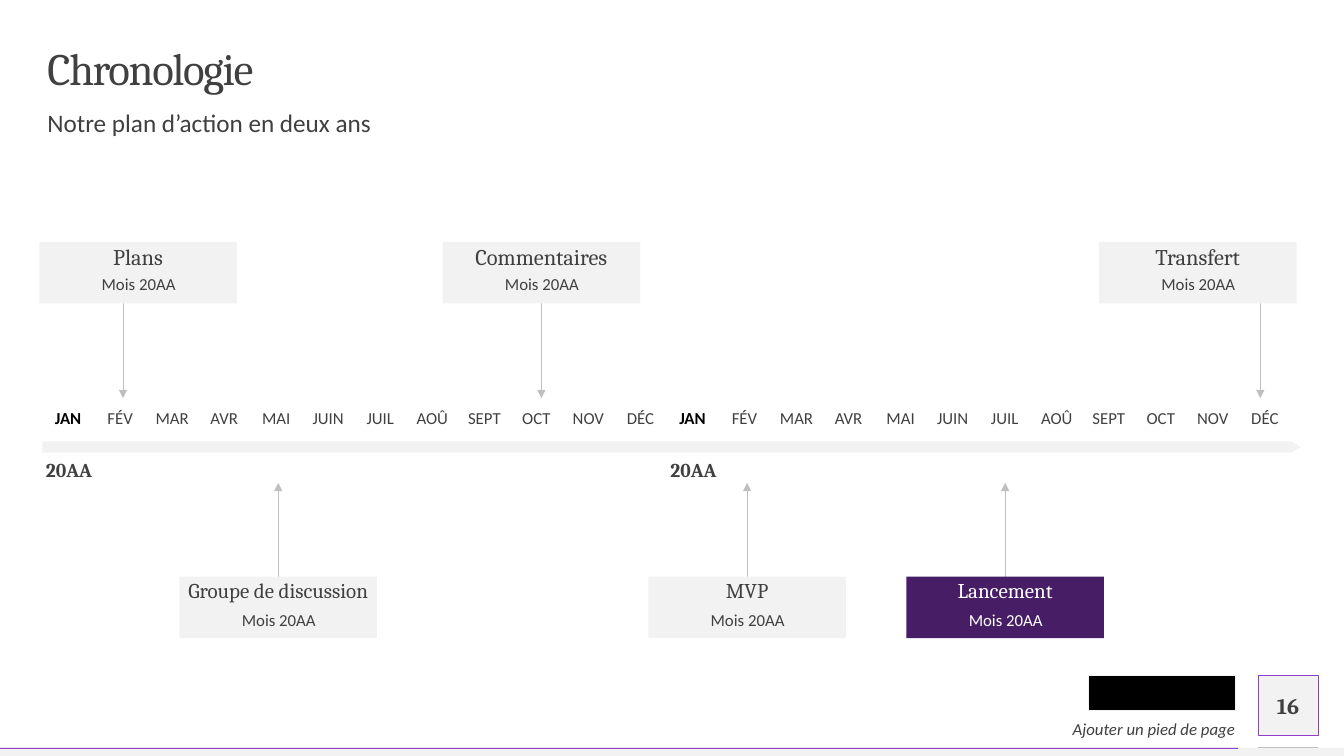
from dataclasses import dataclass

from lxml import etree
from pptx import Presentation
from pptx.dml.color import RGBColor
from pptx.enum.shapes import MSO_CONNECTOR, MSO_SHAPE
from pptx.enum.text import MSO_ANCHOR, MSO_AUTO_SIZE, PP_ALIGN
from pptx.oxml.ns import qn
from pptx.util import Inches, Pt

RECTANGLE, BAR = MSO_SHAPE.RECTANGLE, MSO_SHAPE.PENTAGON
STRAIGHT = MSO_CONNECTOR.STRAIGHT
TOP, MIDDLE, BOTTOM = MSO_ANCHOR.TOP, MSO_ANCHOR.MIDDLE, MSO_ANCHOR.BOTTOM
LEFT, CENTER, RIGHT = PP_ALIGN.LEFT, PP_ALIGN.CENTER, PP_ALIGN.RIGHT
NO_AUTOFIT = MSO_AUTO_SIZE.NONE

BLACK = RGBColor(0x00, 0x00, 0x00)
WHITE = RGBColor(0xFF, 0xFF, 0xFF)
DARK = RGBColor(0x40, 0x40, 0x40)
PALE = RGBColor(0xF2, 0xF2, 0xF2)
GREY = RGBColor(0xBF, 0xBF, 0xBF)
VIOLET = RGBColor(0x8E, 0x40, 0xC8)
DEEP_VIOLET = RGBColor(0x47, 0x1E, 0x66)

HEADING_FONT, BODY_FONT = "Cambria", "Calibri"

MONTHS = ["JAN", "FÉV", "MAR", "AVR", "MAI", "JUIN",
          "JUIL", "AOÛ", "SEPT", "OCT", "NOV", "DÉC"]
YEARS = ["20AA", "20AA"]
FIRST_MONTH, LAST_MONTH = 0.47, 12.34
MONTH_STEP = (LAST_MONTH - FIRST_MONTH) / (len(MONTHS) * len(YEARS) - 1)

CARD_WIDTH, CARD_HEIGHT = 1.96, 0.61
UPPER_TOP, LOWER_TOP = 2.4, 5.72
UPPER_TIP, LOWER_TIP = 3.95, 4.79
BOTTOM_SITE, TOP_SITE = 2, 0


@dataclass
class Milestone:
    name: str
    left: float
    above: bool
    date: str = "Mois 20AA"
    arrow_x: float | None = None  # None: arrow leaves the card's middle
    fill: RGBColor = PALE
    color: RGBColor = DARK


MILESTONES = [
    Milestone("Plans", 0.39, True, arrow_x=1.22),
    Milestone("Groupe de discussion", 1.78, False),
    Milestone("Commentaires", 4.39, True),
    Milestone("MVP", 6.43, False),
    Milestone("Lancement", 8.99, False, fill=DEEP_VIOLET, color=WHITE),
    Milestone("Transfert", 10.9, True, arrow_x=12.5),
]


def write(shape, text: str, *, size: float, font: str = BODY_FONT,
          color: RGBColor = DARK, bold: bool = False, italic: bool = False,
          align=CENTER, anchor=TOP, top_inset: float = 0,
          line_spacing: float = 0.9, tracking: float = 0) -> None:
    """Fill a shape with one formatted paragraph."""
    frame = shape.text_frame
    frame.word_wrap = True
    frame.auto_size = NO_AUTOFIT
    frame.vertical_anchor = anchor
    frame.margin_left = frame.margin_right = frame.margin_bottom = 0
    frame.margin_top = Inches(top_inset)
    paragraph = frame.paragraphs[0]
    paragraph.alignment = align
    paragraph.line_spacing = line_spacing
    run = paragraph.add_run()
    run.text = text
    run.font.name, run.font.size = font, Pt(size)
    run.font.bold, run.font.italic = bold, italic
    run.font.color.rgb = color
    if tracking:
        run._r.get_or_add_rPr().set("spc", str(round(tracking * 100)))


def add_label(slide, text: str, left: float, top: float, width: float,
              height: float, **text_format) -> None:
    box = slide.shapes.add_textbox(
        Inches(left), Inches(top), Inches(width), Inches(height))
    write(box, text, **text_format)


def add_block(slide, left: float, top: float, width: float, height: float,
              fill: RGBColor, *, kind=RECTANGLE,
              outline: RGBColor | None = None, weight: float = 0.25):
    block = slide.shapes.add_shape(
        kind, Inches(left), Inches(top), Inches(width), Inches(height))
    block.shadow.inherit = False
    block.fill.solid()
    block.fill.fore_color.rgb = fill
    if outline is None:
        block.line.fill.background()
    else:
        block.line.color.rgb = outline
        block.line.width = Pt(weight)
    return block


def add_line(slide, x1: float, y1: float, x2: float, y2: float,
             arrow: bool = False):
    line = slide.shapes.add_connector(
        STRAIGHT, Inches(x1), Inches(y1), Inches(x2), Inches(y2))
    line.line.color.rgb = GREY
    line.line.width = Pt(0.5)
    if arrow:
        outline = line.line._get_or_add_ln()
        etree.SubElement(outline, qn("a:tailEnd"), type="triangle")
    etree.SubElement(line._element.spPr, qn("a:effectLst"))
    return line


def add_milestone(slide, milestone: Milestone) -> None:
    above = milestone.above
    top = UPPER_TOP if above else LOWER_TOP
    start = top + CARD_HEIGHT if above else top
    tip = UPPER_TIP if above else LOWER_TIP
    centred = milestone.arrow_x is None
    x = milestone.left + CARD_WIDTH / 2 if centred else milestone.arrow_x

    arrow = add_line(slide, x, start, x, tip, arrow=True)
    card = add_block(slide, milestone.left, top, CARD_WIDTH, CARD_HEIGHT,
                     milestone.fill)
    if centred:
        arrow.begin_connect(card, BOTTOM_SITE if above else TOP_SITE)
    write(card, milestone.name, size=16 if above else 15, font=HEADING_FONT,
          color=milestone.color, top_inset=0.04)
    add_label(slide, milestone.date, milestone.left + 0.06,
              top + (0.34 if above else 0.35), 1.85, 0.25, size=12,
              color=milestone.color)


def add_calendar(slide) -> None:
    bar = add_block(slide, 0.42, 4.38, 12.48, 0.11, PALE, kind=BAR)
    bar.adjustments[0] = 0.82
    for year_index, year in enumerate(YEARS):
        january = FIRST_MONTH + year_index * len(MONTHS) * MONTH_STEP
        add_label(slide, year, january - 0.12, 4.56, 0.67, 0.22, size=14,
                  font=HEADING_FONT, bold=True, anchor=MIDDLE)
        for month_index, month in enumerate(MONTHS):
            first = month_index == 0
            add_label(slide, month, january + month_index * MONTH_STEP, 4.07,
                      0.41, 0.22, size=12, bold=first,
                      color=BLACK if first else DARK)


def add_footer(slide) -> None:
    add_block(slide, 12.48, 6.7, 0.59, 0.59, PALE, outline=VIOLET)
    add_block(slide, 0, 7.42, 13.33, 0.08, PALE)
    add_line(slide, 12.48, 7.41, 13.07, 7.41)
    add_block(slide, 0, 7.42, 12.28, 0.01, VIOLET)
    add_block(slide, 10.8, 6.7, 1.45, 0.35, BLACK, outline=PALE, weight=0.75)
    add_label(slide, "Ajouter un pied de page", 7.75, 7.1, 4.5, 0.23, size=12,
              italic=True, align=RIGHT, anchor=BOTTOM, line_spacing=1.0)
    add_label(slide, "16", 12.48, 6.8, 0.59, 0.4, size=16, font=HEADING_FONT,
              bold=True, anchor=MIDDLE, line_spacing=1.0)


def main() -> None:
    deck = Presentation()
    deck.slide_width, deck.slide_height = Inches(13.33), Inches(7.5)
    slide = deck.slides.add_slide(deck.slide_layouts[5])

    # Heading
    title = slide.shapes.title
    title.left, title.top = Inches(0.47), Inches(0.47)
    title.width, title.height = Inches(12.4), Inches(0.47)
    write(title, "Chronologie", size=32, font=HEADING_FONT, align=LEFT,
          anchor=MIDDLE, tracking=-1)
    add_label(slide, "Notre plan d’action en deux ans", 0.47, 1.1, 12.4, 0.39,
              size=18, align=LEFT)

    # Timeline
    add_calendar(slide)
    for milestone in MILESTONES:
        add_milestone(slide, milestone)

    # Footer
    add_footer(slide)
    deck.save("out.pptx")


if __name__ == "__main__":
    main()
